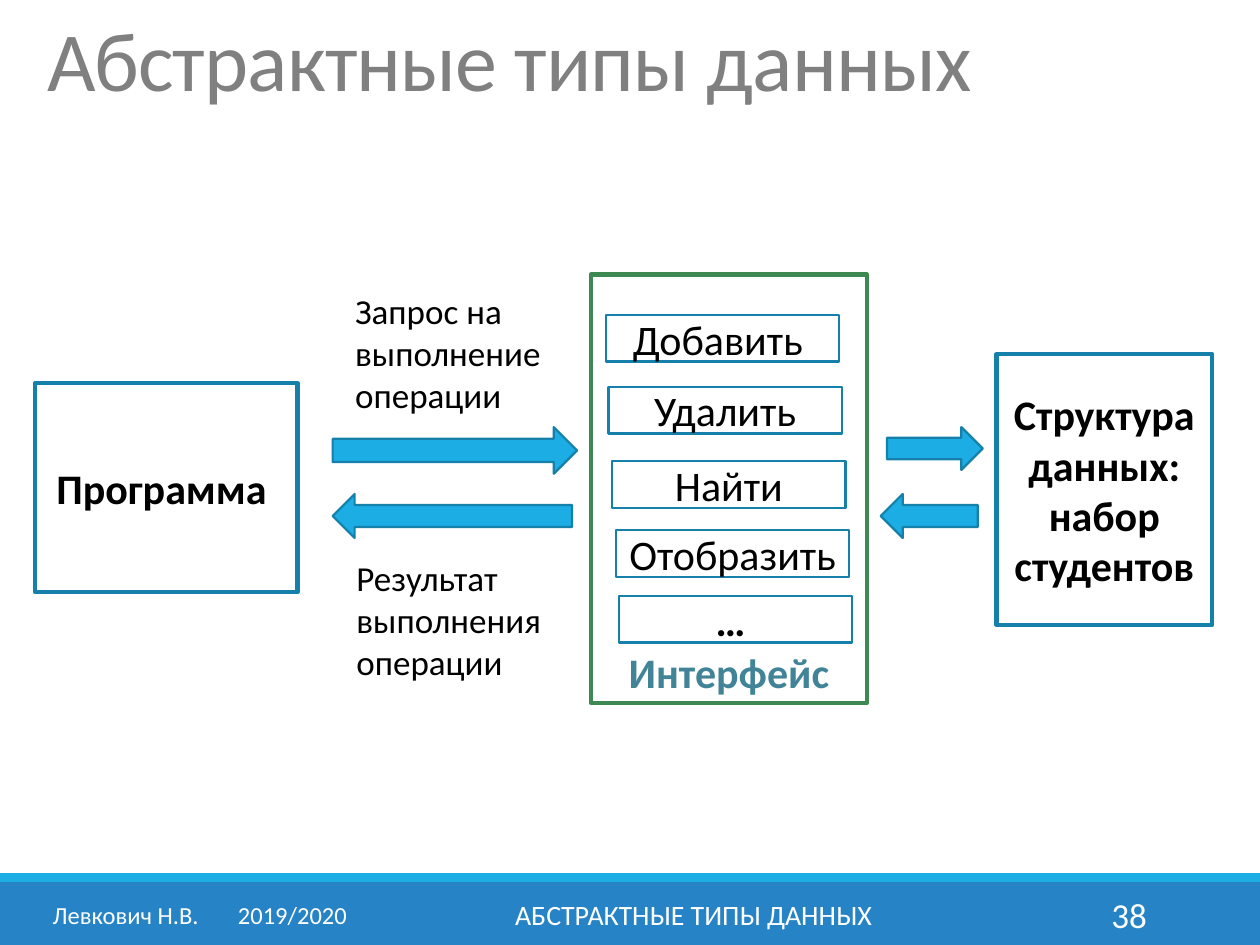
from dataclasses import dataclass

from pptx import Presentation
from pptx import util as u
from pptx.dml.color import RGBColor
from pptx.enum import shapes, text
from pptx.oxml import ns
from lxml import etree

COLS, ROWS = 100, 75
WIDE, HIGH = u.Inches(10), u.Inches(7.5)
KIND = shapes.MSO_SHAPE
ALIGN = text.PP_ALIGN
ANCHOR = text.MSO_ANCHOR


@dataclass(frozen=True)
class Theme:
    font: str = "Calibri"
    ink: str = "000000"
    paper: str = "FFFFFF"
    grey: str = "808080"
    bar: str = "2683C6"
    sky: str = "1CADE4"
    edge: str = "1580A9"
    green: str = "3E8853"
    teal: str = "428497"
    title: int = 48
    head: int = 24
    body: int = 20
    foot: int = 16
    small: int = 14
    thick: float = 2.5
    thin: float = 1.25


T = Theme()


def area(col, row, cols, rows):
    """Turn grid cells into slide lengths."""
    return (round(WIDE * col / COLS), round(HIGH * row / ROWS),
            round(WIDE * cols / COLS), round(HIGH * rows / ROWS))


def write(shape, words, size, color=T.ink, bold=False,
          align=ALIGN.LEFT, anchor=ANCHOR.TOP):
    frame = shape.text_frame
    frame.word_wrap = True
    frame.vertical_anchor = anchor
    frame.text = words
    para = frame.paragraphs[0]
    para.alignment = align
    for run in para.runs:
        run.font.name = T.font
        run.font.size = u.Pt(size)
        run.font.bold = bold
        run.font.color.rgb = RGBColor.from_string(color)
    return para


def label(slide, cells, words, size, **style):
    return write(slide.shapes.add_textbox(*area(*cells)), words, size, **style)


def block(slide, kind, cells, fill=None, line=None, width=T.thin):
    shape = slide.shapes.add_shape(kind, *area(*cells))
    shape.shadow.inherit = False
    if fill:
        shape.fill.solid()
        shape.fill.fore_color.rgb = RGBColor.from_string(fill)
    else:
        shape.fill.background()
    if line:
        shape.line.color.rgb = RGBColor.from_string(line)
        shape.line.width = u.Pt(width)
    else:
        shape.line.fill.background()
    return shape


def box(slide, cells, words, line=T.edge, width=T.thick, fill=None,
        color=T.ink, bold=True, anchor=ANCHOR.MIDDLE):
    shape = block(slide, KIND.FLOWCHART_PROCESS, cells, fill, line, width)
    write(shape, words, T.head, color, bold, ALIGN.CENTER, anchor)


def heading(slide):
    para = label(slide, (2.8, 1.3, 94.5, 7.9), "Абстрактные типы данных",
                 T.title, color=T.grey)
    para.line_spacing = 0.85
    para.runs[0].font._element.set("spc", "-50")


def tab_stop(para, col):
    tabs = etree.SubElement(para._p.get_or_add_pPr(), ns.qn("a:tabLst"))
    etree.SubElement(tabs, ns.qn("a:tab"),
                     pos=str(round(WIDE * col / COLS)), algn="l")


def footer(slide):
    block(slide, KIND.RECTANGLE, (0, 70, COLS, 5), T.bar)
    block(slide, KIND.RECTANGLE, (0, 69.3, COLS, 0.7), T.sky)
    parts = [
        (3.2, 26.1, "Левкович Н.В.\t2019/2020", T.small, ALIGN.LEFT),
        (30.2, 49.7, "АБСТРАКТНЫЕ ТИПЫ ДАННЫХ", T.foot, ALIGN.CENTER),
        (81.2, 10.8, "38", T.body, ALIGN.RIGHT),
    ]
    for col, cols, words, size, align in parts:
        para = label(slide, (col, 70.6, cols, 4), words, size,
                     color=T.paper, align=align, anchor=ANCHOR.MIDDLE)
        if "\t" in words:
            tab_stop(para, 14.7)


def arrows(slide):
    there, back = KIND.RIGHT_ARROW, KIND.LEFT_ARROW
    for kind, *cells in [(there, 26.4, 33.9, 19.4, 3.7),
                         (back, 26.4, 39.2, 19, 3.5),
                         (there, 70.4, 33.9, 7.6, 3.4),
                         (back, 69.9, 39.2, 7.7, 3.5)]:
        block(slide, kind, cells, T.sky, T.edge)


def methods(slide):
    """The interface frame with its operations."""
    box(slide, (46.9, 21.8, 21.9, 34), "Интерфейс", line=T.green,
        color=T.teal, anchor=ANCHOR.BOTTOM)
    for col, row, words in [(48.1, 25, "Добавить "),
                            (48.3, 30.7, "Удалить"),
                            (48.6, 36.6, "Найти"),
                            (48.9, 42.1, "Отобразить"),
                            (49.1, 47.3, "… ")]:
        box(slide, (col, row, 18.5, 3.7), words, width=T.thin,
            fill=T.paper, bold=words.startswith("…"))


def main():
    deck = Presentation()
    deck.slide_width, deck.slide_height = WIDE, HIGH
    slide = deck.slides.add_slide(deck.slide_layouts[6])
    footer(slide)
    heading(slide)
    box(slide, (2.8, 30.4, 20.8, 16.6), "Программа ")
    methods(slide)
    box(slide, (79.1, 28.1, 17.1, 21.5), "Структура данных: набор студентов")
    arrows(slide)
    label(slide, (27.2, 22.5, 18.1, 11.1),
          "Запрос на выполнение операции", T.body)
    label(slide, (27.3, 43.7, 18.1, 11.1),
          "Результат выполнения операции", T.body)
    deck.save("out.pptx")


if __name__ == "__main__":
    main()
